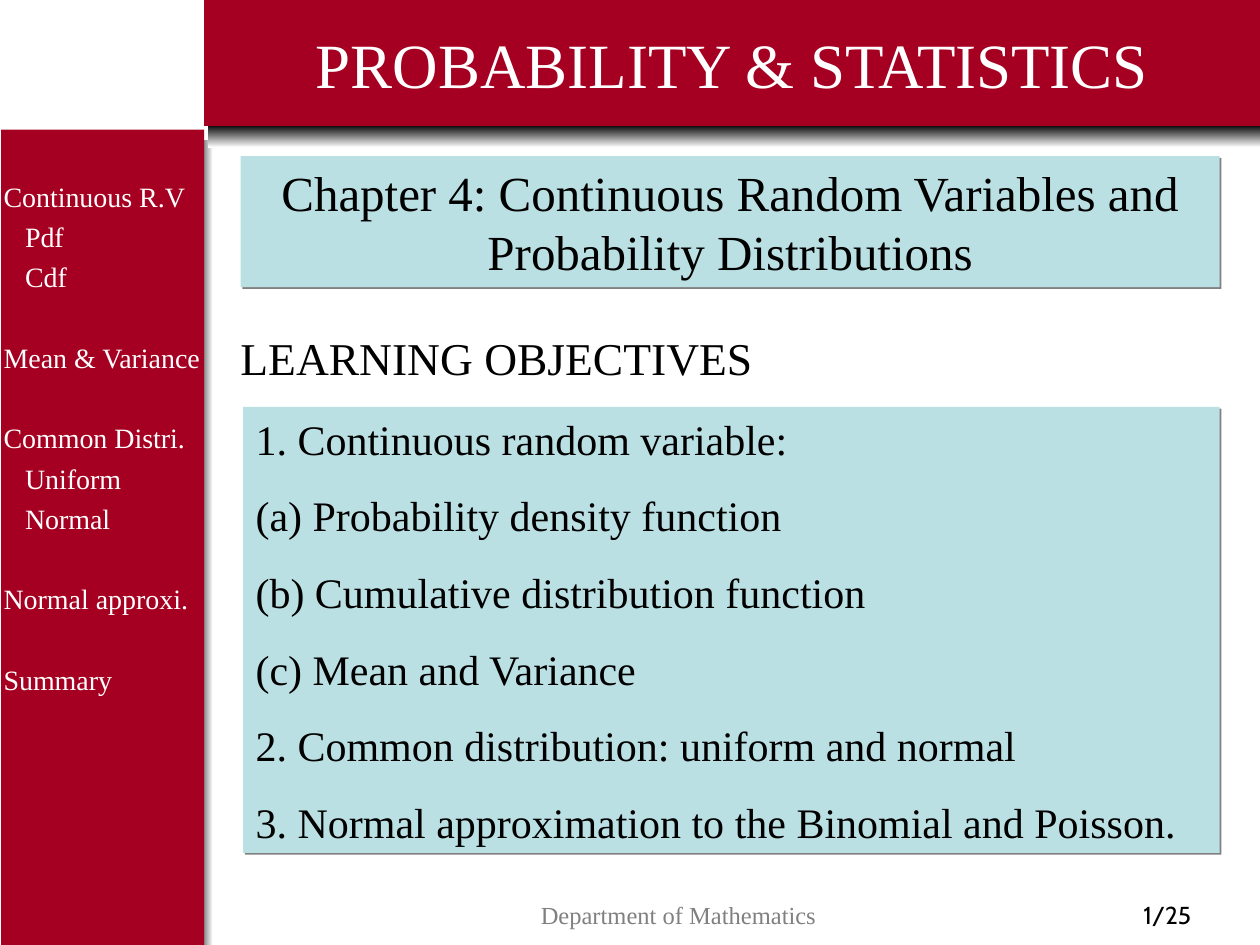
"""Build the opening slide of a chapter on continuous random variables."""
from dataclasses import dataclass
from typing import Optional

from lxml.etree import SubElement
from pptx import Presentation
from pptx.dml.color import RGBColor
from pptx.enum.shapes import MSO_SHAPE
from pptx.enum.text import MSO_ANCHOR, PP_ALIGN
from pptx.oxml.ns import qn
from pptx.util import Inches, Pt


@dataclass(frozen=True)
class Theme:
    red: str = "A50021"
    panel: str = "BBE0E3"
    black: str = "000000"
    white: str = "FFFFFF"
    grey: str = "808080"
    serif: str = "Times New Roman"
    sans: str = "Cabin"
    title: int = 36
    chapter: int = 28
    heading: int = 26
    body: int = 24
    menu: int = 16
    footer: int = 14


@dataclass(frozen=True)
class Box:
    """Position and size in grid cells, 100 columns by 75 rows."""
    col: float
    row: float
    cols: float
    rows: float

    def place(self) -> list:
        return [Inches(v / 10) for v in (self.col, self.row, self.cols, self.rows)]


@dataclass(frozen=True)
class Line:
    text: str
    before: float = 0
    left: float = 0
    hanging: float = 0


@dataclass(frozen=True)
class Section:
    name: str
    topics: tuple = ()


THEME = Theme()
SECTIONS = (
    Section("Continuous R.V", ("Pdf", "Cdf")),
    Section("Mean & Variance"),
    Section("Common Distri.", ("Uniform", "Normal")),
    Section("Normal approxi."),
    Section("Summary"),
)
OBJECTIVES = (
    "1. Continuous random variable:",
    "(a) Probability density function",
    "(b) Cumulative distribution function",
    "(c) Mean and Variance",
    "2. Common distribution: uniform and normal",
    "3. Normal approximation to the Binomial and Poisson.",
)


def add_rect(s, box: Box, color: Optional[str] = None, angle: float = 0,
             raised: bool = False):
    """Add a solid rectangle, or a black to white gradient when no color is given."""
    sp = s.shapes.add_shape(MSO_SHAPE.RECTANGLE, *box.place())
    sp.shadow.inherit = False
    sp.line.fill.background()
    if color:
        sp.fill.solid()
        sp.fill.fore_color.rgb = RGBColor.from_string(color)
    else:
        sp.fill.gradient()
        sp.fill.gradient_angle = angle
        for stop, shade in zip(sp.fill.gradient_stops, (THEME.black, THEME.white)):
            stop.color.rgb = RGBColor.from_string(shade)
    if raised:
        effects = sp._element.spPr.find(qn("a:effectLst"))
        shadow = SubElement(effects, qn("a:outerShdw"), dist=str(Pt(1.4)),
                            dir="2700000", algn="ctr", rotWithShape="0")
        SubElement(shadow, qn("a:srgbClr"), val=THEME.grey)
    return sp


def add_box(s, box: Box):
    """Add an empty text box."""
    return s.shapes.add_textbox(*box.place())


def write(sp, *lines: Line, size: float, color: str = THEME.black,
          font: str = THEME.serif, align=PP_ALIGN.LEFT, anchor=MSO_ANCHOR.TOP,
          spacing: float = 1.0, right: float = 0.1) -> None:
    """Fill a shape with paragraphs in one format."""
    tf = sp.text_frame
    tf.word_wrap = True
    tf.vertical_anchor = anchor
    tf.margin_right = Inches(right)
    for i, line in enumerate(lines):
        p = tf.paragraphs[0] if i == 0 else tf.add_paragraph()
        p.alignment = align
        p.line_spacing = spacing
        if line.before:
            p.space_before = Pt(line.before)
        if line.left:
            pPr = p._p.get_or_add_pPr()
            pPr.set("marL", str(Inches(line.left)))
            pPr.set("indent", str(-Inches(line.hanging)))
        r = p.add_run()
        r.text = line.text
        r.font.size = Pt(size)
        r.font.name = font
        r.font.color.rgb = RGBColor.from_string(color)


def menu_lines(sections: tuple) -> list[Line]:
    """Turn sections into menu lines with a gap above each later section."""
    lines = []
    for section in sections:
        lines.append(Line(section.name, before=23 if lines else 0))
        lines += [Line(topic, left=0.17) for topic in section.topics]
    return lines


def main() -> None:
    """Build and save the slide."""
    prs = Presentation()
    prs.slide_width, prs.slide_height = Inches(10), Inches(7.5)
    s = prs.slides.add_slide(prs.slide_layouts[6])

    add_rect(s, Box(15.4, 11.1, 1.5, 63.9))
    add_rect(s, Box(0.1, 10.3, 16.1, 64.7), THEME.red)
    add_rect(s, Box(16.5, 9.9, 83.5, 1.8), angle=270)

    write(add_box(s, Box(-0.7, 13.2, 17.1, 45.2)), *menu_lines(SECTIONS),
          size=THEME.menu, color=THEME.white, spacing=1.2, right=0)
    write(add_box(s, Box(85.3, 70.9, 14.7, 3.7)), Line("1/25"),
          size=THEME.footer, font=THEME.sans, align=PP_ALIGN.CENTER)
    write(add_box(s, Box(23.4, 70.9, 60.9, 3.7)), Line("Department of Mathematics"),
          size=THEME.footer, color=THEME.grey, align=PP_ALIGN.CENTER)

    write(add_rect(s, Box(16.2, 0, 83.8, 10), THEME.red),
          Line("PROBABILITY & STATISTICS"), size=THEME.title, color=THEME.white,
          align=PP_ALIGN.CENTER, anchor=MSO_ANCHOR.MIDDLE)
    write(add_box(s, Box(18.1, 25.7, 70.2, 5.4)), Line("LEARNING OBJECTIVES"),
          size=THEME.heading)
    write(add_rect(s, Box(19.3, 32.3, 77.5, 35.4), THEME.panel, raised=True),
          *(Line(text, before=15 if i else 0, left=0.38, hanging=0.38)
            for i, text in enumerate(OBJECTIVES)), size=THEME.body)
    write(add_rect(s, Box(19.1, 12.4, 77.7, 10.4), THEME.panel, raised=True),
          Line("Chapter 4: Continuous Random Variables and Probability Distributions"),
          size=THEME.chapter, align=PP_ALIGN.CENTER)

    prs.save("out.pptx")


if __name__ == "__main__":
    main()
